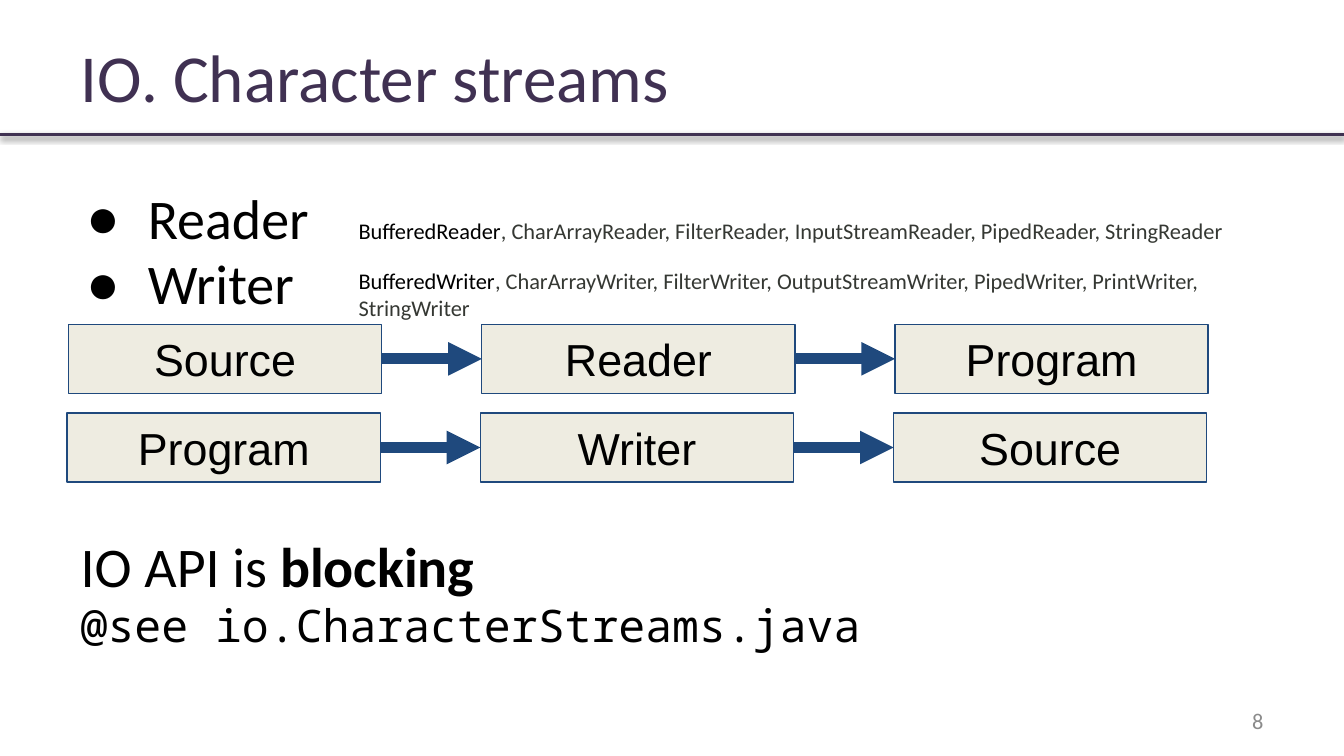
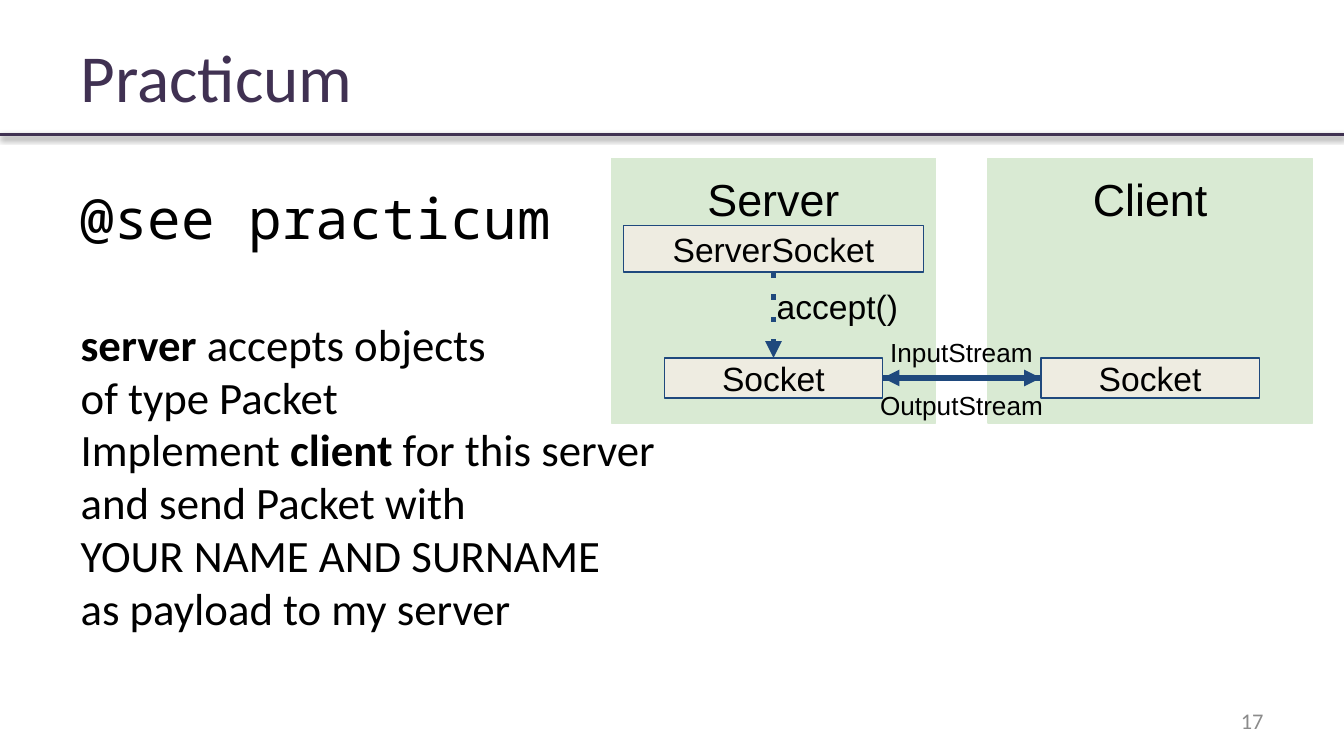
from typing import NamedTuple

from lxml import etree
from pptx import Presentation
from pptx.dml.color import RGBColor
from pptx.enum import shapes, text
from pptx.oxml import ns
from pptx.util import Pt

BLACK = RGBColor(0x00, 0x00, 0x00)
CHARCOAL = RGBColor(0x35, 0x38, 0x33)
GREY = RGBColor(0x8B, 0x8B, 0x8B)
PURPLE = RGBColor(0x40, 0x31, 0x52)
RULE = RGBColor(0x3F, 0x31, 0x51)
NAVY = RGBColor(0x1F, 0x49, 0x7D)
CREAM = RGBColor(0xEE, 0xEC, 0xE1)
GREEN = RGBColor(0xD9, 0xEA, 0xD3)

MONO = "Noto Sans Mono"
LEFT, CENTER, RIGHT = text.PP_ALIGN.LEFT, text.PP_ALIGN.CENTER, text.PP_ALIGN.RIGHT
TOP, MIDDLE = text.MSO_ANCHOR.TOP, text.MSO_ANCHOR.MIDDLE
BOTTOM_SIDE, LEFT_SIDE, RIGHT_SIDE, TOP_SIDE = 2, 1, 3, 0


class Box(NamedTuple):
    """A region in points."""
    left: float
    top: float
    width: float
    height: float

    def lengths(self):
        return [Pt(value) for value in self]

    def inner(self, left, top, width, height):
        return Box(self.left + left, self.top + top, width, height)

    def centred(self, top, width, height):
        return self.inner((self.width - width) / 2, top, width, height)


SLIDE = Box(0, 0, 720, 405)
TITLE = Box(36, 16.5, 648, 48)
BODY = Box(36, 96.25, 648, 264)
NUMBER = Box(516, 375, 168, 21.6)


def set_all(target, values):
    for name, value in values.items():
        setattr(target, name, value)


def place(shape, box):
    set_all(shape, dict(zip(("left", "top", "width", "height"), box.lengths())))


def add_xml(parent, tag, **attributes):
    return etree.SubElement(parent, ns.qn(tag), attributes)


def write(shape, paragraphs, size, font="Calibri", color=BLACK, anchor=TOP,
          align=LEFT, inset=7.2, **spacing):
    """Write paragraphs, each a list of (words, font changes) runs or a plain string.

    A dict as a run list's first item holds that paragraph's own spacing.
    """
    frame = shape.text_frame
    set_all(frame, {"word_wrap": True, "auto_size": text.MSO_AUTO_SIZE.NONE,
                    "vertical_anchor": anchor,
                    "margin_left": Pt(7.2), "margin_right": Pt(7.2),
                    "margin_top": Pt(inset), "margin_bottom": Pt(inset)})
    for index, runs in enumerate(paragraphs):
        paragraph = frame.add_paragraph() if index else frame.paragraphs[0]
        runs = [(runs, {})] if isinstance(runs, str) else list(runs)
        own = runs.pop(0) if isinstance(runs[0], dict) else {}
        set_all(paragraph, {"alignment": align, "space_before": Pt(0), **spacing, **own})
        for words, changes in runs:
            run = paragraph.add_run()
            run.text = words
            values = {"size": Pt(size), "name": font, "bold": False, **changes}
            run.font.color.rgb = values.pop("color", color)
            set_all(run.font, values)


def set_bullet(paragraph, bullet=None):
    properties = paragraph._p.get_or_add_pPr()
    margin, indent = (Pt(36), Pt(-33)) if bullet else (0, 0)
    properties.set("marL", str(margin))
    properties.set("indent", str(indent))
    if bullet:
        add_xml(properties, "a:buChar", char=bullet)
    else:
        add_xml(properties, "a:buNone")


def add_text(slide, box, paragraphs, size, **style):
    write(slide.shapes.add_textbox(*box.lengths()), paragraphs, size, **style)


def add_box(slide, box, label, size, fill=CREAM, line=NAVY, anchor=MIDDLE):
    shape = slide.shapes.add_shape(shapes.MSO_SHAPE.RECTANGLE, *box.lengths())
    shape.shadow.inherit = False
    shape.fill.solid()
    shape.fill.fore_color.rgb = fill
    shape.line.color.rgb = line
    shape.line.width = Pt(0.75)
    write(shape, [label], size, font="Arial", anchor=anchor, align=CENTER)
    return shape


def add_line(slide, color, width, start=(0, 0), end=(0, 0)):
    """Add a straight line and return it with its empty effect list."""
    line = slide.shapes.add_connector(shapes.MSO_CONNECTOR.STRAIGHT,
                                      *map(Pt, start + end))
    line.line.color.rgb = color
    line.line.width = Pt(width)
    return line, add_xml(line.element.spPr, "a:effectLst")


def add_arrow(slide, source, source_side, target, target_side, width, dash=None):
    arrow, _ = add_line(slide, NAVY, width)
    arrow.begin_connect(source, source_side)
    arrow.end_connect(target, target_side)
    outline = arrow.element.spPr.find(ns.qn("a:ln"))
    if dash:
        add_xml(outline, "a:prstDash", val=dash)
    add_xml(outline, "a:tailEnd", type="triangle")


def prepare_layout(presentation, slide):
    """Place the shared placeholders and the shadowed rule on the slide's layout."""
    layout = slide.slide_layout
    for placeholder, box in zip(layout.placeholders, (TITLE, BODY)):
        place(placeholder, box)
    rule, effects = add_line(slide, RULE, 2, (0, 72), (SLIDE.width, 72))
    shadow = add_xml(effects, "a:outerShdw", blurRad=str(Pt(3.1)), dist=str(Pt(1.6)),
                     dir="5400000", rotWithShape="0")
    add_xml(add_xml(shadow, "a:srgbClr", val="000000"), "a:alpha", val="38000")
    layout.shapes.element.append(rule.element)


def fill_slide(slide, title, number, paragraphs, size, bullets=0):
    """Write the title, the body with its first few bulleted, and the number."""
    write(slide.shapes.title, [title], 36, color=PURPLE, anchor=MIDDLE, inset=3.6)
    body = slide.placeholders[1]
    write(body, paragraphs, size, inset=3.6, line_spacing=0.98)
    for index, paragraph in enumerate(body.text_frame.paragraphs):
        set_bullet(paragraph, "●" if index < bullets else None)
    add_text(slide, NUMBER, [number], 12, color=GREY, anchor=MIDDLE, align=RIGHT,
             inset=3.6)


def add_flow(slide, box, labels):
    """Spread equal boxes over the width and join them with arrows."""
    width = 167.75
    step = (box.width - width) / (len(labels) - 1)
    boxes = [add_box(slide, box.inner(index * step, 0, width, box.height), label, 24)
             for index, label in enumerate(labels)]
    for source, target in zip(boxes, boxes[1:]):
        add_arrow(slide, source, RIGHT_SIDE, target, LEFT_SIDE, 6)


def add_class_list(slide, box, first, others):
    add_text(slide, box, [[(first, {}), (", " + others, {"color": CHARCOAL})]], 12,
             anchor=MIDDLE)


def build_streams(slide):
    fill_slide(slide, "IO. Character streams", "8", [
        "Reader",
        "Writer",
        [{"space_before": Pt(116)}, ("IO API is ", {}), ("blocking", {"bold": True})],
        [("@see io.CharacterStreams.java", {"size": Pt(24), "name": MONO})],
    ], 30, bullets=2)
    add_flow(slide, Box(36.75, 173.75, 610.5, 37), ("Source", "Reader", "Program"))
    add_flow(slide, Box(36, 221.25, 610.5, 37), ("Program", "Writer", "Source"))
    add_class_list(slide, Box(185, 92.25, 494.5, 62.75), "BufferedReader",
                   "CharArrayReader, FilterReader, InputStreamReader, "
                   "PipedReader, StringReader")
    add_class_list(slide, Box(185, 123.25, 494.5, 69), "BufferedWriter",
                   "CharArrayWriter, FilterWriter, OutputStreamWriter, "
                   "PipedWriter, PrintWriter, StringWriter")


def add_host(slide, box, name):
    """Add a host panel and return its socket."""
    add_box(slide, box, name, 24, GREEN, GREEN, TOP)
    return add_box(slide, box.centred(107, 117, 21.5), "Socket", 18)


def add_socket_diagram(slide, box):
    panel = Box(box.left, box.top, 173.75, box.height)
    server = add_host(slide, panel, "Server")
    client = add_host(slide, panel.inner(box.width - panel.width, 0, *panel[2:]),
                      "Client")
    listener = add_box(slide, panel.centred(36, 160.75, 25), "ServerSocket", 18)
    add_arrow(slide, listener, BOTTOM_SIDE, server, TOP_SIDE, 3, "dot")
    add_text(slide, box.inner(81.5, 61, 81, 34), ["accept()"], 18, font="Arial")
    add_arrow(slide, server, RIGHT_SIDE, client, LEFT_SIDE, 3)
    add_arrow(slide, client, LEFT_SIDE, server, RIGHT_SIDE, 3)
    add_text(slide, box.inner(103.75, 88, 167.75, 59),
             ["InputStream", [{"space_before": Pt(12)}, ("OutputStream", {})]], 14,
             font="Arial", align=CENTER)


def build_practicum(slide):
    bold = {"bold": True}
    fill_slide(slide, "Practicum", "17", [
        [("@see practicum", {"size": Pt(30), "name": MONO})],
        [{"space_before": Pt(36)}, ("server", bold), (" accepts objects", {})],
        "of type Packet",
        [("Implement ", {}), ("client", bold), (" for this server", {})],
        "and send Packet with",
        "YOUR NAME AND SURNAME",
        "as payload to my server",
    ], 24)
    add_socket_diagram(slide, Box(327.5, 84.75, 375.5, 142))


def main():
    presentation = Presentation()
    presentation.slide_width, presentation.slide_height = SLIDE.lengths()[2:]
    layout = presentation.slide_layouts[1]
    streams, practicum = [presentation.slides.add_slide(layout) for _ in range(2)]
    prepare_layout(presentation, streams)
    build_streams(streams)
    build_practicum(practicum)
    presentation.save("out.pptx")


if __name__ == "__main__":
    main()
